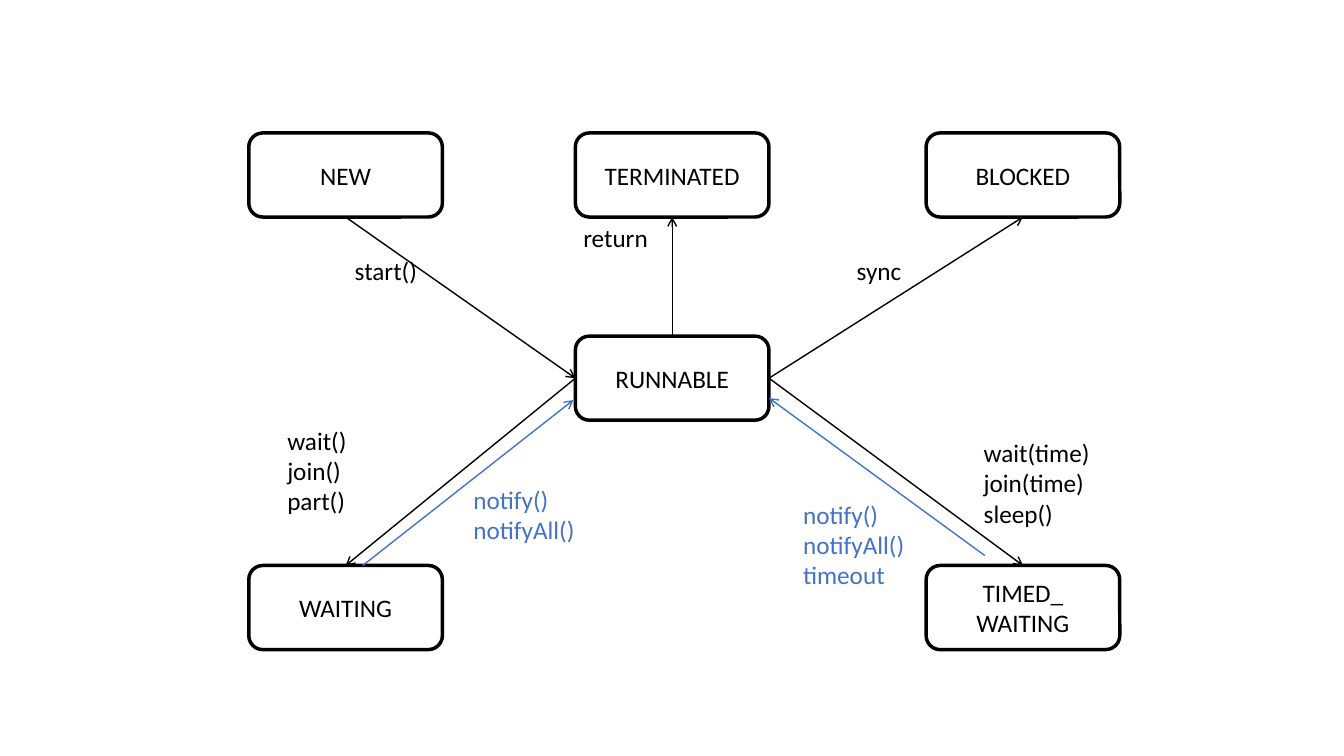
"""Build a slide showing the thread states and the calls that move between them."""
from lxml import etree
from pptx import Presentation
from pptx import util as u
from pptx.dml.color import RGBColor
from pptx.enum import shapes, text
from pptx.oxml.ns import qn

COLORS = {"ink": "000000", "wake": "4472C4"}
BOX_W, BOX_H = 4.88, 2.12
LINE_H, PAD_H = 0.77, 0.25
LEFT, MID, RIGHT = 6.27, 14.5, 23.34
TOP, CENTER, BOTTOM = 3.35, 8.47, 14.25
SITE_TOP, SITE_LEFT, SITE_BOTTOM, SITE_RIGHT = range(4)


def rgb(name):
    return RGBColor.from_string(COLORS[name])


def write(tf, lines, color="ink", align=text.PP_ALIGN.LEFT, anchor=text.MSO_ANCHOR.TOP,
          size=18, font="Calibri"):
    tf.word_wrap = True
    tf.vertical_anchor = anchor
    for i, line in enumerate(lines.split("\n")):
        p = tf.add_paragraph() if i else tf.paragraphs[0]
        p.alignment = align
        r = p.add_run()
        r.text = line
        r.font.size = u.Pt(size)
        r.font.name = font
        r.font.color.rgb = rgb(color)


prs = Presentation()
prs.slide_width, prs.slide_height = u.Cm(33.87), u.Cm(19.05)
s = prs.slides.add_slide(prs.slide_layouts[6])

states = {
    "RUNNABLE": (MID, CENTER),
    "NEW": (LEFT, TOP),
    "WAITING": (LEFT, BOTTOM),
    "BLOCKED": (RIGHT, TOP),
    "TIMED_\nWAITING": (RIGHT, BOTTOM),
    "TERMINATED": (MID, TOP),
}
boxes = {}
for name, (x, y) in states.items():
    sp = s.shapes.add_shape(shapes.MSO_SHAPE.ROUNDED_RECTANGLE,
                            u.Cm(x), u.Cm(y), u.Cm(BOX_W), u.Cm(BOX_H))
    sp.shadow.inherit = False
    sp.fill.background()
    sp.line.color.rgb = rgb("ink")
    sp.line.width = u.Pt(2.5)
    write(sp.text_frame, name, align=text.PP_ALIGN.CENTER, anchor=text.MSO_ANCHOR.MIDDLE)
    boxes[name] = sp

transitions = [
    ("NEW", SITE_BOTTOM, "RUNNABLE", SITE_LEFT),
    ("RUNNABLE", SITE_RIGHT, "BLOCKED", SITE_BOTTOM),
    ("RUNNABLE", SITE_LEFT, "WAITING", SITE_TOP),
    ("RUNNABLE", SITE_RIGHT, "TIMED_\nWAITING", SITE_TOP),
    ("RUNNABLE", SITE_TOP, "TERMINATED", SITE_BOTTOM),
]
wakeups = [(9.14, 14.25, 14.45, 10.08), (24.82, 14, 19.38, 10.03)]

arrows = []
for start, start_site, end, end_site in transitions:
    cn = s.shapes.add_connector(shapes.MSO_CONNECTOR.STRAIGHT, 0, 0, 0, 0)
    cn.begin_connect(boxes[start], start_site)
    cn.end_connect(boxes[end], end_site)
    arrows.append((cn, "ink"))
for ends in wakeups:
    cn = s.shapes.add_connector(shapes.MSO_CONNECTOR.STRAIGHT, *map(u.Cm, ends))
    arrows.append((cn, "wake"))
for cn, color in arrows:
    cn.line.color.rgb = rgb(color)
    cn.line.width = u.Pt(1)
    etree.SubElement(cn.line._get_or_add_ln(), qn("a:tailEnd"), type="arrow")
    etree.SubElement(cn._element.spPr, qn("a:effectLst"))

labels = [
    ("start()", 8.69, 6.3, 2.49, "ink"),
    ("sync", 21.34, 6.3, 2.49, "ink"),
    ("return", 14.45, 5.49, 2.49, "ink"),
    ("wait()\njoin()\npart()", 6.99, 10.59, 2.49, "ink"),
    ("wait(time)\njoin(time)\nsleep()", 24.54, 10.9, 3.96, "ink"),
    ("notify()\nnotifyAll()", 11.68, 12.07, 3.33, "wake"),
    ("notify()\nnotifyAll()\ntimeout", 19.99, 12.45, 3.33, "wake"),
]
for lines, x, y, w, color in labels:
    h = PAD_H + LINE_H * len(lines.split("\n"))
    tb = s.shapes.add_textbox(u.Cm(x), u.Cm(y), u.Cm(w), u.Cm(h))
    write(tb.text_frame, lines, color=color)
    tb.text_frame.auto_size = text.MSO_AUTO_SIZE.SHAPE_TO_FIT_TEXT

prs.save("out.pptx")
